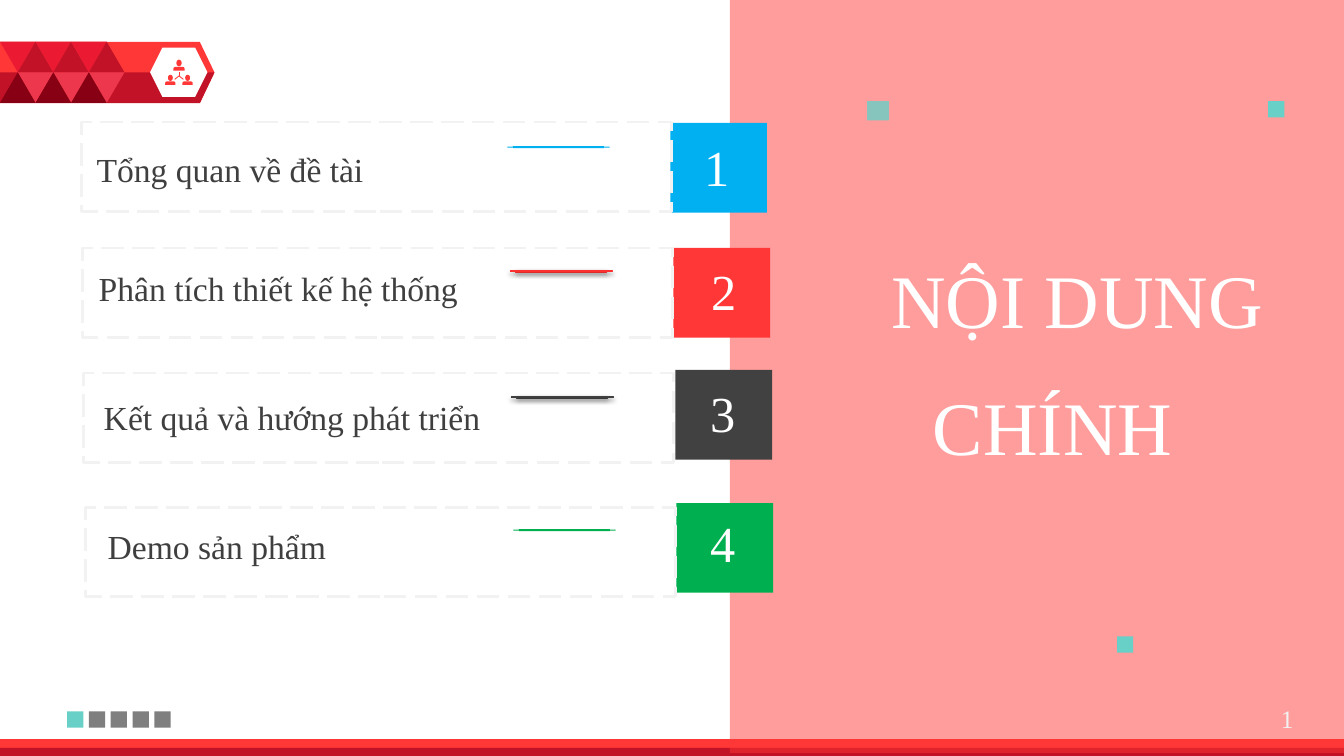
from pptx import Presentation
from pptx.dml.color import RGBColor
from pptx.enum.dml import MSO_LINE
from pptx.enum.shapes import MSO_CONNECTOR, MSO_SHAPE
from pptx.enum.text import MSO_ANCHOR, PP_ALIGN
from pptx.oxml import parse_xml
from pptx.oxml.ns import nsdecls, qn
from pptx.util import Pt

RECTANGLE = MSO_SHAPE.RECTANGLE
TRIANGLE = MSO_SHAPE.ISOSCELES_TRIANGLE
OVAL = MSO_SHAPE.OVAL
SHOULDERS = MSO_SHAPE.ROUND_2_SAME_RECTANGLE
LEFT, CENTER, RIGHT = PP_ALIGN.LEFT, PP_ALIGN.CENTER, PP_ALIGN.RIGHT

COLORS = {
    "white": "FFFFFF", "page_number": "F2F2F2", "frame": "F2F2F2",
    "text": "3F3F3F", "red": "FF3737", "dark_red": "C21227",
    "crimson": "EB1932", "rose": "ED374D", "maroon": "880014",
    "teal": "68D0C6", "gray": "7F7F7F", "blue": "00B0F0",
    "charcoal": "414141", "green": "00B050",
    "red_start": "D11111", "red_end": "FF1818", "red_edge": "FD3030",
    "charcoal_start": "2F2F2F", "charcoal_end": "3E3E3E", "charcoal_edge": "3F3F3F",
}

# Label, tile colour, glossy bar?, then the left/top of tile, digit, label and frame,
# and the centre of the accent bar.
ROWS = [
    ("Tổng quan về đề tài", "blue", False,
     (478.8, 87.8), (487.4, 93.6), (61.9, 103), (58.3, 87.1), (398.9, 105.1)),
    ("Phân tích thiết kế hệ thống", "red", True,
     (481, 177.1), (491.8, 182.2), (63.4, 187.9), (59, 177.1), (401, 193.7)),
    ("Kết quả và hướng phát triển", "charcoal", True,
     (482.4, 264.2), (491, 269.3), (67, 280.1), (59.8, 266.4), (401.8, 283.7)),
    ("Demo sản phẩm", "green", False,
     (483.1, 359.3), (491, 362.2), (69.8, 372.2), (61.2, 362.2), (403.2, 378.7)),
]


def color(name):
    return RGBColor.from_string(COLORS[name])


class SlideBuilder:
    font = "Times New Roman"

    def __init__(self, slide):
        self.slide = slide

    def shape(self, kind, left, top, width, height, fill=None, opacity=100, rotation=0):
        shape = self.slide.shapes.add_shape(kind, Pt(left), Pt(top), Pt(width), Pt(height))
        shape.rotation = rotation
        self.paint(shape, fill, opacity)
        return shape

    def paint(self, shape, fill, opacity=100):
        shape.shadow.inherit = False
        shape.line.fill.background()
        if fill is None:
            shape.fill.background()
            return
        shape.fill.solid()
        shape.fill.fore_color.rgb = color(fill)
        if opacity < 100:
            rgb = shape.element.spPr.find(".//" + qn("a:srgbClr"))
            rgb.append(parse_xml(f'<a:alpha {nsdecls("a")} val="{opacity * 1000}"/>'))

    def polygon(self, points, fill):
        corners = [(Pt(x), Pt(y)) for x, y in points]
        builder = self.slide.shapes.build_freeform(*corners[0])
        builder.add_line_segments(corners[1:], close=True)
        self.paint(builder.convert_to_shape(), fill)

    def line(self, start, end, line_color, width):
        connector = self.slide.shapes.add_connector(
            MSO_CONNECTOR.STRAIGHT, *(Pt(value) for value in (*start, *end)))
        connector.line.color.rgb = color(line_color)
        connector.line.width = Pt(width)
        connector.element.spPr.append(parse_xml(f'<a:effectLst {nsdecls("a")}/>'))

    def text(self, text, left, top, width, height, size, text_color="white", align=LEFT):
        box = self.slide.shapes.add_textbox(Pt(left), Pt(top), Pt(width), Pt(height))
        self.format_text(box, text, size, text_color, align)

    def title(self, text, left, top, width, height, size):
        """Place the title in front of everything drawn so far."""
        title = self.slide.shapes.title
        title.left, title.top, title.width, title.height = map(Pt, (left, top, width, height))
        self.format_text(title, text, size, "white", RIGHT)
        title.element.getparent().append(title.element)

    def format_text(self, shape, text, size, text_color, align):
        frame = shape.text_frame
        frame.text = text
        frame.word_wrap = True
        frame.vertical_anchor = MSO_ANCHOR.TOP
        paragraph = frame.paragraphs[0]
        paragraph.alignment = align
        font = paragraph.runs[0].font
        font.name, font.size = self.font, Pt(size)
        font.color.rgb = color(text_color)

    def accent_bar(self, center, fill, glossy):
        """Draw a long thin bar over a shorter, thicker one."""
        x, y = center
        for thickness, length in ((1.4, 65), (0.8, 73)):
            bar = self.shape(RECTANGLE, x - thickness / 2, y - length / 2,
                             thickness, length, fill, rotation=270)
            if glossy:
                self.add_gloss(bar, fill)

    def add_gloss(self, bar, fill):
        """Give a bar a gradient, a thin outline and a soft shadow below."""
        bar.fill.gradient()
        bar.fill.gradient_angle = 90
        stops = zip(bar.fill.gradient_stops, ("start", "end"), (0, 0.8))
        for stop, suffix, position in stops:
            stop.color.rgb = color(f"{fill}_{suffix}")
            stop.position = position
        bar.line.color.rgb = color(f"{fill}_edge")
        bar.line.width = Pt(0.75)
        bar.element.spPr.find(qn("a:effectLst")).append(parse_xml(
            f'<a:outerShdw {nsdecls("a")} blurRad="{Pt(3.1)}" dist="{Pt(1.8)}" '
            'dir="5400000" rotWithShape="0"><a:srgbClr val="000000">'
            '<a:alpha val="35000"/></a:srgbClr></a:outerShdw>'))

    def person(self, center, top, scale):
        self.shape(OVAL, center - 1.9 * scale, top, 3.8 * scale, 4.8 * scale, "red")
        body = self.shape(SHOULDERS, center - 4 * scale, top + 5.2 * scale,
                          8 * scale, 2.7 * scale, "red")
        body.adjustments[0] = 0.5

    def badge(self):
        arrow = self.shape(MSO_SHAPE.PENTAGON, 0, 30, 153.2, 43.6, "red")
        arrow.adjustments[0] = 0.24
        self.polygon([(0, 51.7), (153.2, 51.7), (142.8, 73.6), (0, 73.6)], "dark_red")
        self.shape(MSO_SHAPE.HEXAGON, 107.2, 34, 41, 35.3, "white")
        for center, top, scale in ((127.9, 42.6, 1), (121.7, 53.4, 0.92), (134, 53.4, 0.92)):
            self.person(center, top, scale)
        hub = (127.9, 54.2)
        for end in ((127.9, 51.2), (124.8, 56.7), (131, 56.7)):
            self.line(hub, end, "red", 0.6)
        width, height, top, middle = 25.4, 21.8, 29.8, 51.7
        for column in range(3):
            left = column * width
            shifted = left + width / 2
            self.shape(TRIANGLE, left, top, width, height, "crimson", rotation=180)
            self.shape(TRIANGLE, shifted, top, width, height, "dark_red")
            self.shape(TRIANGLE, shifted, middle, width, height, "rose", rotation=180)
            self.shape(TRIANGLE, left, middle, width, height, "maroon")

    def agenda_row(self, number, row):
        label, fill, glossy, tile, digit, label_at, frame_at, bar_center = row
        self.shape(RECTANGLE, *tile, 69.1, 64.1, fill)
        self.text(str(number), *digit, 50.4, 50.9, 36, align=CENTER)
        self.text(label, *label_at, 382.3, 36.4, 24, "text")
        self.accent_bar(bar_center, fill, glossy)
        frame = self.shape(RECTANGLE, *frame_at, 421.2, 64.1)
        frame.line.color.rgb = color("frame")
        frame.line.width = Pt(2)
        frame.line.dash_style = MSO_LINE.LONG_DASH


def main():
    presentation = Presentation()
    presentation.slide_width, presentation.slide_height = Pt(960), Pt(540)
    slide = presentation.slides.add_slide(presentation.slide_layouts[5])
    builder = SlideBuilder(slide)

    builder.badge()
    builder.shape(RECTANGLE, 0, 528, 960, 11.5, "red")
    builder.shape(RECTANGLE, 0, 534.2, 960, 5.8, "dark_red")
    builder.shape(RECTANGLE, 521.3, -2.2, 438.7, 540, "red", opacity=49)
    builder.title("NỘI DUNG", 429.1, 177.1, 480.2, 72.7, 54)
    builder.text("CHÍNH", 364.3, 267.8, 480.2, 72.7, 54, align=RIGHT)

    builder.shape(RECTANGLE, 619.4, 72.2, 15.6, 13.9, "teal", opacity=80)
    for left, top in ((797.9, 454.5), (905.9, 72.2)):
        builder.shape(RECTANGLE, left, top, 11.6, 11.6, "teal")
    for position in range(5):
        builder.shape(RECTANGLE, 47.9 + 15.6 * position, 508.1, 11.6, 11.6,
                      "gray" if position else "teal")
    builder.text("1", 888.5, 499, 42.5, 29.1, 18, "page_number", RIGHT)

    for number, row in enumerate(ROWS, start=1):
        builder.agenda_row(number, row)
    presentation.save("out.pptx")


if __name__ == "__main__":
    main()
